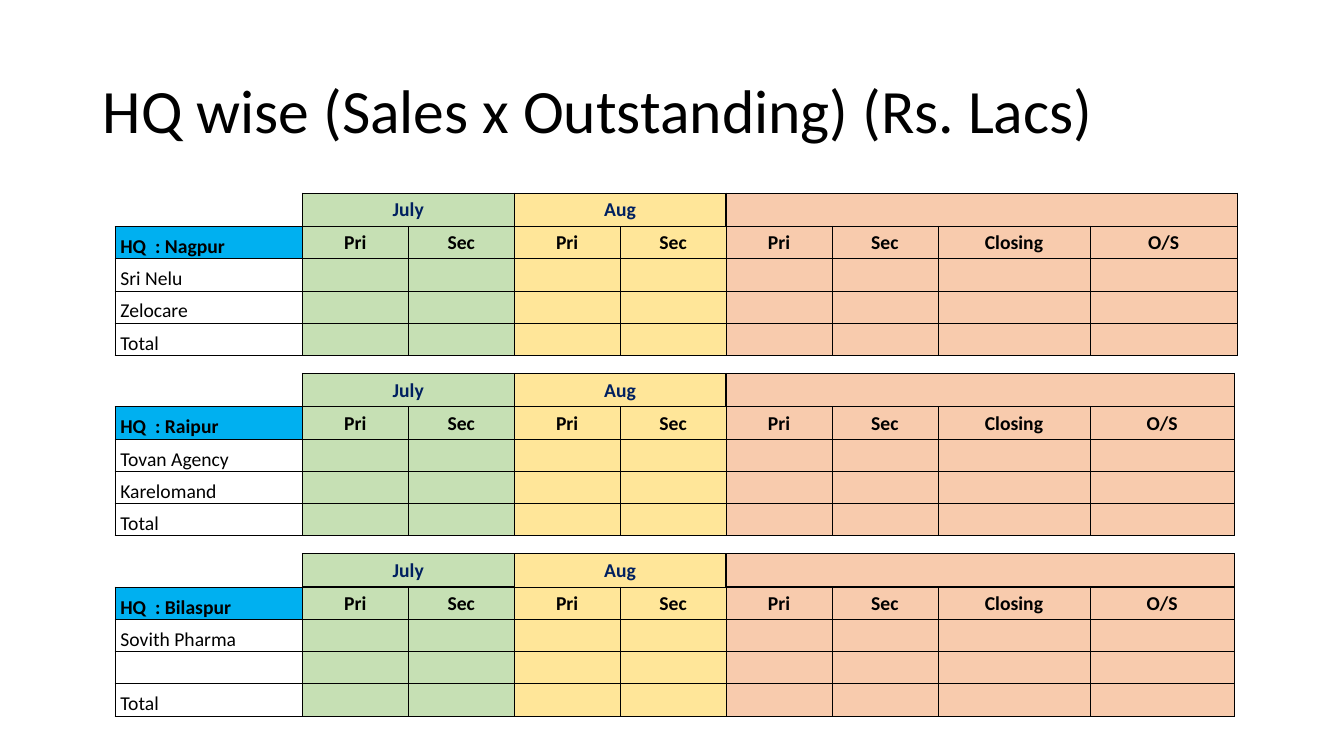
import dataclasses
import typing

import lxml.etree
import pptx
import pptx.dml.color
import pptx.enum.text
import pptx.oxml.ns
import pptx.util

COLORS = {
    "ink": "000000",
    "month": "002060",
    "july": "C6E0B4",
    "aug": "FFE699",
    "summary": "F8CBAD",
    "hq": "00B0F0",
}
SLIDE_WIDTH = pptx.util.Inches(13.33)
SLIDE_HEIGHT = pptx.util.Inches(7.5)
FIRST_TOP, BLOCK_STEP, LEFT = 25.55, 23.85, 8.55
ROW_SHARES = [4.4] + [4.27] * 4
COLUMN_SHARES = [13.95] + [7.88] * 6 + [11.33]
THIN, THICK = 0.5, 1
MIDDLE = pptx.enum.text.MSO_ANCHOR.MIDDLE
BOTTOM = pptx.enum.text.MSO_ANCHOR.BOTTOM
CENTER = pptx.enum.text.PP_ALIGN.CENTER
LEFT_ALIGN = pptx.enum.text.PP_ALIGN.LEFT
CELL_FORMAT = {
    "margin_left": pptx.util.Inches(0.01),
    "margin_top": pptx.util.Inches(0.01),
    "margin_right": pptx.util.Inches(0.01),
    "margin_bottom": 0,
}
TABLE_FORMAT = {"first_row": False, "horz_banding": False}


@dataclasses.dataclass(frozen=True)
class Headquarters:
    city: str
    stockists: tuple[str, str]
    outstanding_share: float = 10.73


@dataclasses.dataclass(frozen=True)
class Period:
    heading: str
    band: str
    first: int
    measures: tuple[str, ...]
    bottom_width: float = THICK


HEADQUARTERS = [
    Headquarters("Nagpur", ("Sri Nelu", "Zelocare"), 10.95),
    Headquarters("Raipur", ("Tovan Agency", "Karelomand")),
    Headquarters("Bilaspur", ("Sovith Pharma", "")),
]
PERIODS = [
    Period("July", "july", 1, ("Pri", "Sec")),
    Period("Aug", "aug", 3, ("Pri", "Sec"), THIN),
    Period("", "summary", 5, ("Pri", "Sec", "Closing", "O/S")),
]


def across(share: float) -> int:
    return round(SLIDE_WIDTH * share / 100)


def down(share: float) -> int:
    return round(SLIDE_HEIGHT * share / 100)


def rgb(color: str) -> pptx.dml.color.RGBColor:
    return pptx.dml.color.RGBColor.from_string(COLORS[color])


def apply_format(target: typing.Any, values: dict[str, typing.Any]) -> None:
    for attribute, value in values.items():
        setattr(target, attribute, value)


def draw_borders(cell: typing.Any, widths: dict[str, float]) -> None:
    properties = cell._tc.get_or_add_tcPr()
    for side in "LRTB":
        width = widths.get(side, THIN)
        line = lxml.etree.SubElement(properties, pptx.oxml.ns.qn(f"a:ln{side}"))
        line.set("w", str(int(pptx.util.Pt(width))))
        if width:
            fill = lxml.etree.SubElement(line, pptx.oxml.ns.qn("a:solidFill"))
            ink = lxml.etree.SubElement(fill, pptx.oxml.ns.qn("a:srgbClr"))
            ink.set("val", COLORS["ink"])
        else:
            lxml.etree.SubElement(line, pptx.oxml.ns.qn("a:noFill"))


def format_cell(
    cell: typing.Any,
    text: str = "",
    band: str | None = None,
    color: str = "ink",
    bold: bool = False,
    align: typing.Any = CENTER,
    anchor: typing.Any = MIDDLE,
    borders: dict[str, float] | None = None,
) -> None:
    draw_borders(cell, borders or {})
    apply_format(cell, CELL_FORMAT | {"vertical_anchor": anchor})
    if band:
        cell.fill.solid()
        cell.fill.fore_color.rgb = rgb(band)
    else:
        cell.fill.background()
    if text:
        paragraph = cell.text_frame.paragraphs[0]
        paragraph.alignment = align
        run = paragraph.add_run()
        run.text = text
        apply_format(run.font, {"name": "Calibri", "size": pptx.util.Pt(14), "bold": bold})
        run.font.color.rgb = rgb(color)


def fill_period(table: typing.Any, period: Period) -> None:
    last = period.first + len(period.measures) - 1
    edges = {"L": THICK, "R": THICK, "T": THICK, "B": period.bottom_width}
    for column, measure in enumerate(period.measures, period.first):
        heading = period.heading if column == period.first else ""
        format_cell(table.cell(0, column), heading, period.band, "month", True, borders=edges)
        format_cell(table.cell(1, column), f" {measure} ", period.band, bold=True,
                    borders={"T": period.bottom_width})
        for row in range(2, len(ROW_SHARES)):
            format_cell(table.cell(row, column), band=period.band)
    table.cell(0, period.first).merge(table.cell(0, last))


def add_headquarters(slide: typing.Any, headquarters: Headquarters, top: float) -> None:
    column_shares = COLUMN_SHARES + [headquarters.outstanding_share]
    table = slide.shapes.add_table(
        len(ROW_SHARES), len(column_shares), across(LEFT), down(top),
        across(sum(column_shares)), down(sum(ROW_SHARES)),
    ).table
    apply_format(table, TABLE_FORMAT)
    for column, share in zip(table.columns, column_shares):
        column.width = across(share)
    for row, share in zip(table.rows, ROW_SHARES):
        row.height = down(share)
    format_cell(table.cell(0, 0), borders={"L": 0, "T": 0, "R": THICK})
    format_cell(table.cell(1, 0), f" HQ  : {headquarters.city}", "hq", bold=True,
                align=LEFT_ALIGN, anchor=BOTTOM)
    for row, label in enumerate((*headquarters.stockists, "Total"), 2):
        format_cell(table.cell(row, 0), f" {label}" if label else "",
                    align=LEFT_ALIGN, anchor=BOTTOM)
    for period in PERIODS:
        fill_period(table, period)


def add_title(slide: typing.Any, text: str) -> None:
    title = slide.shapes.title
    apply_format(title, {"left": across(6.9), "top": down(5.33),
                         "width": across(86.27), "height": down(19.33)})
    apply_format(title.text_frame, {"text": text, "vertical_anchor": MIDDLE, "word_wrap": True})
    paragraph = title.text_frame.paragraphs[0]
    apply_format(paragraph, {"alignment": LEFT_ALIGN, "line_spacing": 0.9})
    font = paragraph.runs[0].font
    apply_format(font, {"name": "Calibri", "size": pptx.util.Pt(44), "bold": False})
    font.color.rgb = rgb("ink")


def main() -> None:
    presentation = pptx.Presentation()
    apply_format(presentation, {"slide_width": SLIDE_WIDTH, "slide_height": SLIDE_HEIGHT})
    slide = presentation.slides.add_slide(presentation.slide_layouts.get_by_name("Title Only"))
    add_title(slide, "HQ wise (Sales x Outstanding) (Rs. Lacs)")
    for index, headquarters in enumerate(HEADQUARTERS):
        add_headquarters(slide, headquarters, FIRST_TOP + index * BLOCK_STEP)
    presentation.save("out.pptx")


if __name__ == "__main__":
    main()
